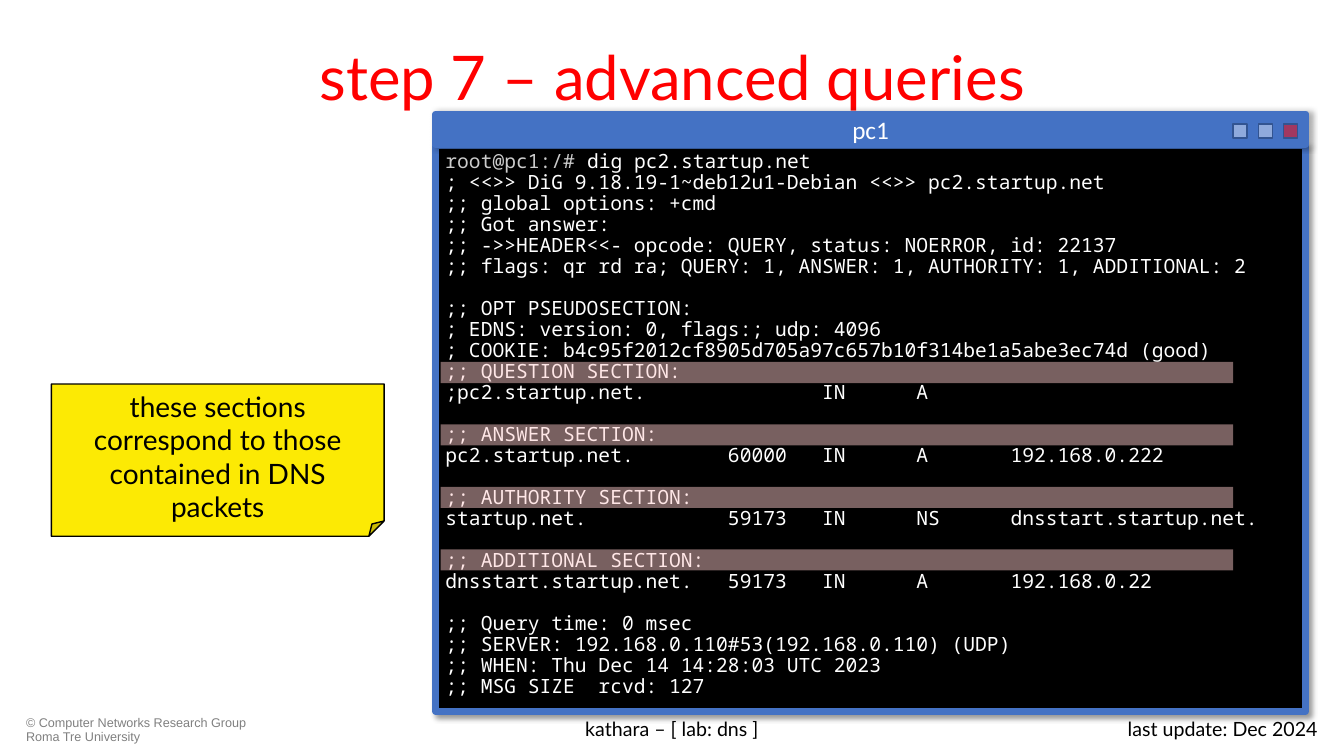
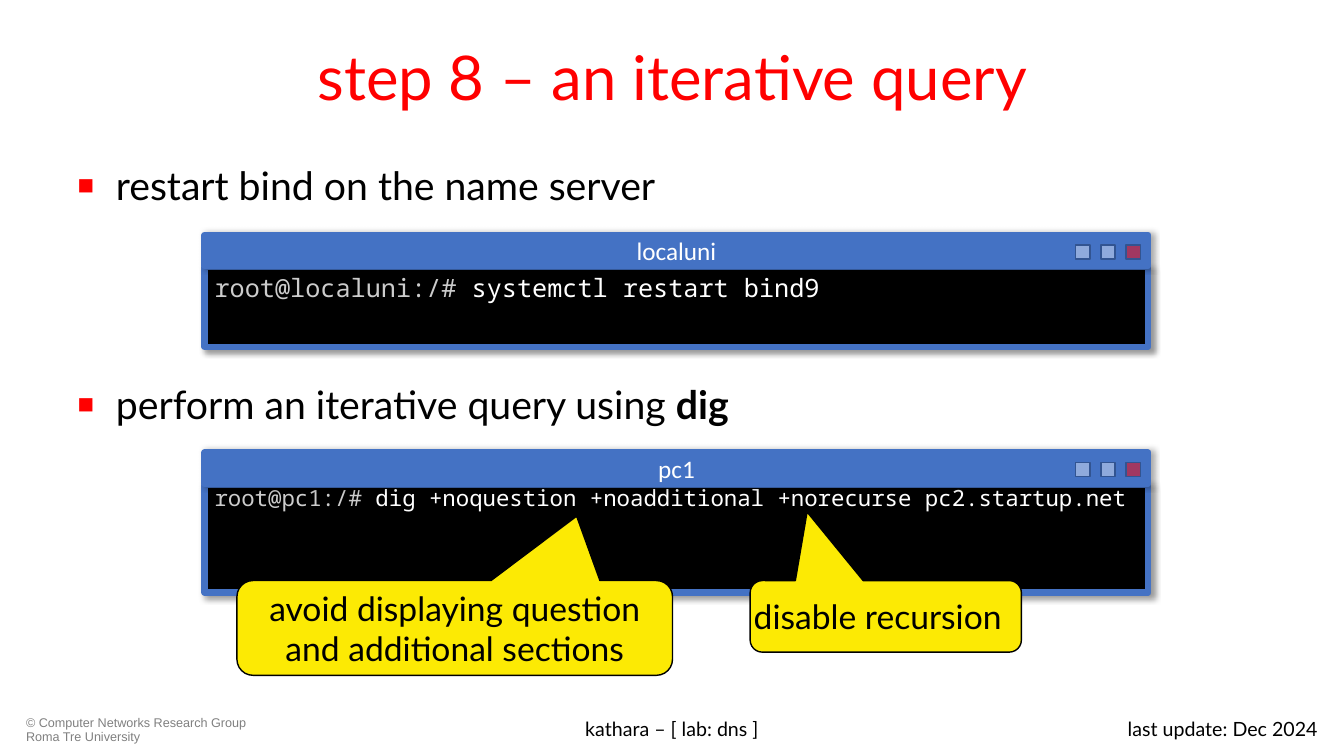
import pptx
import pptx.dml.color
import pptx.enum.shapes
import pptx.enum.text
import pptx.oxml
import pptx.oxml.ns
import pptx.util
from lxml import etree

Inches = pptx.util.Inches
Pt = pptx.util.Pt
RGBColor = pptx.dml.color.RGBColor
SHAPE = pptx.enum.shapes.MSO_SHAPE
ALIGN = pptx.enum.text.PP_ALIGN
ANCHOR = pptx.enum.text.MSO_ANCHOR
qn = pptx.oxml.ns.qn

# Colours
RED = RGBColor(0xFF, 0x00, 0x00)
BLACK = RGBColor(0x00, 0x00, 0x00)
WHITE = RGBColor(0xFF, 0xFF, 0xFF)
GREY = RGBColor(0x80, 0x80, 0x80)
PROMPT_GREY = RGBColor(0xCC, 0xCC, 0xCC)
FRAME_BLUE = RGBColor(0x44, 0x72, 0xC4)
BUTTON_BLUE = RGBColor(0x8F, 0xAA, 0xDC)
BUTTON_EDGE = RGBColor(0x32, 0x54, 0x91)
YELLOW = RGBColor(0xFC, 0xEA, 0x04)
PINK = RGBColor(0xFF, 0xCC, 0xCC)

# Text styles
TITLE_FONT = dict(name="Lato", size=Pt(44), color=RED)
BODY_FONT = dict(name="Lato", size=Pt(28), color=BLACK)
NOTE_FONT = dict(name="Lato", size=Pt(20), color=BLACK)
CALLOUT_FONT = dict(name="Lato", size=Pt(24), color=BLACK)
FOOTER_FONT = dict(name="Lato", size=Pt(14), color=BLACK)
COPYRIGHT_FONT = dict(name="Arial", size=Pt(9), color=GREY)
BAR_FONT = dict(name="Calibri", size=Pt(18), color=WHITE)
CODE_FONT = dict(name="Noto Sans Mono", color=WHITE)
NO_INSETS = dict(margin_left=0, margin_right=0, margin_top=0, margin_bottom=0)

# Footers: text, box, font, paragraph format
FOOTERS = [
    ("© Computer Networks Research Group Roma Tre University",
     (0.16, 7.06, 2.49, 0.36), COPYRIGHT_FONT, dict(line_spacing=0.9)),
    ("kathara – [ lab: dns ]",
     (3.41, 7.06, 6.51, 0.36), FOOTER_FONT, dict(alignment=ALIGN.CENTER)),
    ("last update: Dec 2024",
     (10.13, 7.06, 3.04, 0.36), FOOTER_FONT, dict(alignment=ALIGN.RIGHT)),
]

# Output of dig, in blocks separated by one empty line
DIG_OUTPUT = [
    ["; <<>> DiG 9.18.19-1~deb12u1-Debian <<>> pc2.startup.net",
     ";; global options: +cmd",
     ";; Got answer:",
     ";; ->>HEADER<<- opcode: QUERY, status: NOERROR, id: 22137",
     ";; flags: qr rd ra; QUERY: 1, ANSWER: 1, AUTHORITY: 1, ADDITIONAL: 2"],
    [";; OPT PSEUDOSECTION:",
     "; EDNS: version: 0, flags:; udp: 4096",
     "; COOKIE: b4c95f2012cf8905d705a97c657b10f314be1a5abe3ec74d (good)",
     ";; QUESTION SECTION:",
     ";pc2.startup.net.               IN      A"],
    [";; ANSWER SECTION:",
     "pc2.startup.net.        60000   IN      A       192.168.0.222"],
    [";; AUTHORITY SECTION:",
     "startup.net.            59173   IN      NS      dnsstart.startup.net."],
    [";; ADDITIONAL SECTION:",
     "dnsstart.startup.net.   59173   IN      A       192.168.0.22"],
    [";; Query time: 0 msec",
     ";; SERVER: 192.168.0.110#53(192.168.0.110) (UDP)",
     ";; WHEN: Thu Dec 14 14:28:03 UTC 2023",
     ";; MSG SIZE  rcvd: 127"],
]


def inches(box):
    return [Inches(length) for length in box]


def set_values(target, values):
    for name, value in values.items():
        if name == "color":
            target.color.rgb = value
        else:
            setattr(target, name, value)


def write_text(frame, paragraphs, font, frame_format=None):
    """Fill a frame with (spans, format) pairs; a span is (text, font changes)."""
    set_values(frame, dict(word_wrap=True, auto_size=pptx.enum.text.MSO_AUTO_SIZE.NONE,
                           vertical_anchor=ANCHOR.TOP))
    set_values(frame, frame_format or {})
    for index, (spans, para_format) in enumerate(paragraphs):
        para = frame.add_paragraph() if index else frame.paragraphs[0]
        set_values(para, {"alignment": ALIGN.LEFT, **para_format})
        for text, changes in spans:
            span = para.add_run()
            span.text = text
            set_values(span.font, {**font, **changes})


def write_line(frame, text, font, para_format, frame_format=None):
    write_text(frame, [([(text, {})], para_format)], font, frame_format)


def add_panel(shapes, kind, box, fill, line=None, alpha=None, shadow=None):
    """Add a shape; line is (colour, points), shadow (alpha, blur, distance, angle)."""
    panel = shapes.add_shape(kind, *inches(box))
    panel.fill.solid()
    panel.fill.fore_color.rgb = fill
    if line:
        panel.line.color.rgb, panel.line.width = line[0], Pt(line[1])
    else:
        panel.line.fill.background()
    panel.shadow.inherit = False
    properties = panel._element.spPr
    if alpha:
        colour = properties.find(qn("a:solidFill")).find(qn("a:srgbClr"))
        etree.SubElement(colour, qn("a:alpha"), val=str(alpha * 1000))
    if shadow:
        opacity, blur, distance, angle = shadow
        outer = etree.SubElement(
            properties.find(qn("a:effectLst")), qn("a:outerShdw"),
            blurRad=str(Pt(blur)), dist=str(Pt(distance)),
            dir=str(angle * 60000), algn="tl", rotWithShape="0")
        colour = etree.SubElement(outer, qn("a:srgbClr"), val=str(BLACK))
        etree.SubElement(colour, qn("a:alpha"), val=str(opacity * 1000))
    return panel


def add_page(deck, title):
    """Start a slide with the shared title and footers."""
    page = deck.slides.add_slide(deck.slide_layouts[1])
    heading = page.shapes.title
    heading.left, heading.top, heading.width, heading.height = inches((0.67, 0.13, 12, 1.25))
    write_line(heading.text_frame, title, TITLE_FONT, dict(alignment=ALIGN.CENTER),
               dict(vertical_anchor=ANCHOR.MIDDLE))
    for text, box, font, para_format in FOOTERS:
        footer = page.shapes.add_textbox(*inches(box))
        write_line(footer.text_frame, text, font, para_format)
    return page


def add_terminal(page, box, host, command, size, blocks=(), spacing=Pt(15)):
    """Draw a terminal window: screen, title bar and three buttons."""
    left, top, width, height = box
    bar_height = 0.32
    window = page.shapes.add_group_shape().shapes
    frame_line = (FRAME_BLUE, 4.5)

    # Screen with prompt and output
    screen = add_panel(window, SHAPE.RECTANGLE,
                       (left, top + bar_height, width, height - bar_height),
                       BLACK, frame_line, shadow=(40, 4, 3, 45))
    line_format = dict(line_spacing=spacing)
    prompt = (f"root@{host}:/# ", dict(color=PROMPT_GREY))
    paragraphs = [([prompt, (command, {})], line_format)]
    for block_index, block in enumerate(blocks):
        for line_index, text in enumerate(block):
            gap = spacing if block_index and not line_index else 0
            paragraphs.append(([(text, {})], dict(line_format, space_before=gap)))
    write_text(screen.text_frame, paragraphs, dict(CODE_FONT, size=Pt(size)))

    # Title bar
    bar = add_panel(window, SHAPE.RECTANGLE, (left, top, width, bar_height - 0.01),
                    FRAME_BLUE, frame_line, shadow=(32, 4, 2, 0))
    write_line(bar.text_frame, host, BAR_FONT, dict(alignment=ALIGN.CENTER),
               dict(vertical_anchor=ANCHOR.MIDDLE))

    # Buttons, from the right edge inwards
    for index, (colour, alpha) in enumerate([(RED, 50), (BUTTON_BLUE, None), (BUTTON_BLUE, None)]):
        add_panel(window, SHAPE.RECTANGLE,
                  (left + width - 0.22 - 0.25 * index, top + 0.1, 0.14, 0.14),
                  colour, (BUTTON_EDGE, 1), alpha)


def add_note(page, kind, box, guides, text, font, alignment, frame_format=None):
    """Draw a yellow note or callout; guides maps adjustment names to values."""
    note = add_panel(page.shapes, kind, box, YELLOW, (BLACK, 1))
    guide_list = note._element.spPr.find(qn("a:prstGeom")).get_or_add_avLst()
    for guide in list(guide_list):
        guide_list.remove(guide)
    for name, value in guides.items():
        etree.SubElement(guide_list, qn("a:gd"), name=name, fmla=f"val {round(value * 100000)}")
    write_line(note.text_frame, text, font, dict(alignment=alignment), frame_format)


def add_bullets(page, box, items):
    """Fill the body placeholder; an item is (spans, space before)."""
    body = page.placeholders[1]
    body.left, body.top, body.width, body.height = inches(box)
    write_text(body.text_frame,
               [(spans, dict(space_before=gap)) for spans, gap in items], BODY_FONT)
    for para in body.text_frame.paragraphs:
        properties = para._p.get_or_add_pPr()
        properties.set("marL", str(Inches(0.38)))
        properties.set("indent", str(Inches(-0.38)))
        colour = etree.SubElement(properties, qn("a:buClr"))
        etree.SubElement(colour, qn("a:srgbClr"), val=str(RED))
        etree.SubElement(properties, qn("a:buSzPct"), val="70000")
        etree.SubElement(properties, qn("a:buFont"), typeface="Arial")
        etree.SubElement(properties, qn("a:buChar"), char="■")


def build_advanced_queries(deck):
    page = add_page(deck, "step 7 – advanced queries")
    body = page.placeholders[1]._element
    body.getparent().remove(body)
    add_terminal(page, (4.32, 1.13, 8.63, 5.93), "pc1", "dig pc2.startup.net", 14, DIG_OUTPUT)
    add_note(page, SHAPE.FOLDED_CORNER, (0.51, 3.81, 3.3, 1.51), dict(adj=0.1),
             "these sections correspond to those contained in DNS packets",
             NOTE_FONT, ALIGN.CENTER)
    # Highlights on the four section headings, three lines apart
    for index in range(4):
        add_panel(page.shapes, SHAPE.RECTANGLE, (4.37, 3.59 + 0.62 * index, 7.86, 0.21),
                  PINK, alpha=47)


def build_iterative_query(deck):
    page = add_page(deck, "step 8 – an iterative query")
    add_bullets(page, (0.67, 1.55, 12, 5.15), [
        ([("restart bind on the name server", {})], 0),
        ([("perform an iterative query using ", {}), ("dig", dict(bold=True))], Pt(123)),
    ])
    add_terminal(page, (2.03, 2.33, 9.36, 1.11), "localuni",
                 "systemctl restart bind9", 18, spacing=1.0)
    add_terminal(page, (2.03, 4.49, 9.36, 1.39), "pc1",
                 "dig +noquestion +noadditional +norecurse pc2.startup.net", 16)
    # Callouts on the query options
    callout_frame = dict(NO_INSETS, vertical_anchor=ANCHOR.MIDDLE)
    for box, (tip_x, tip_y), text, alignment in [
        ((7.44, 5.76, 2.69, 0.71), (-0.29, -1.46), "disable recursion", ALIGN.LEFT),
        ((2.35, 5.76, 4.32, 0.94), (0.28, -1.18),
         "avoid displaying question and additional sections", ALIGN.CENTER),
    ]:
        add_note(page, SHAPE.ROUNDED_RECTANGULAR_CALLOUT, box,
                 dict(adj1=tip_x, adj2=tip_y, adj3=0.17),
                 text, CALLOUT_FONT, alignment, callout_frame)


def main():
    deck = pptx.Presentation()
    deck.slide_width, deck.slide_height = inches((13.33, 7.5))
    build_advanced_queries(deck)
    build_iterative_query(deck)
    deck.save("out.pptx")


if __name__ == "__main__":
    main()
